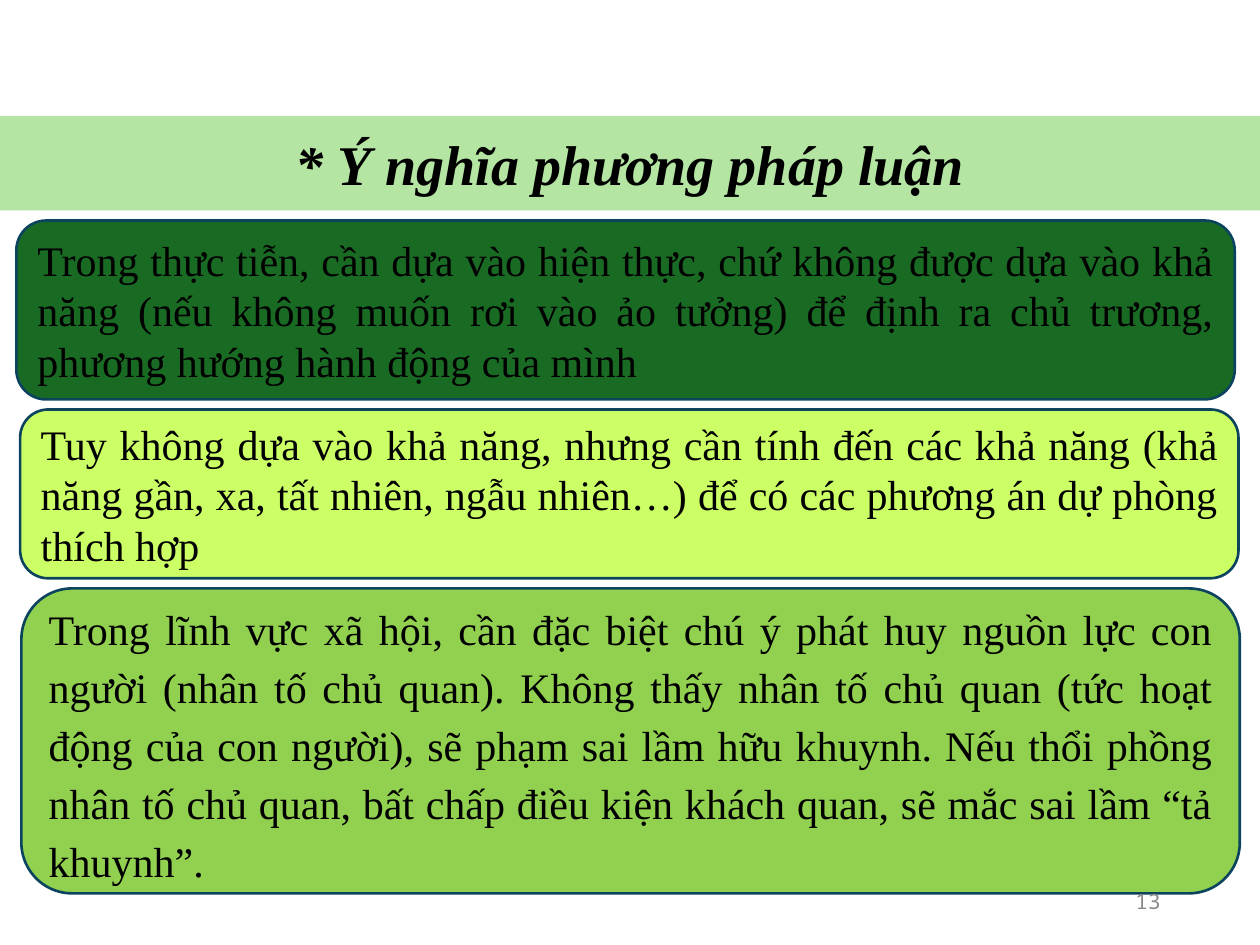
from dataclasses import dataclass
from pptx import Presentation
from pptx.dml.color import RGBColor
from pptx.enum.shapes import MSO_SHAPE
from pptx.enum.text import MSO_ANCHOR, PP_ALIGN
from pptx.util import Inches, Pt


@dataclass
class Theme:
    band: str = "B4E5A2"
    dark: str = "196B24"
    lime: str = "CCFF66"
    leaf: str = "92D050"
    edge: str = "0C445E"
    ink: str = "000000"
    gray: str = "898989"
    serif: str = "Times New Roman"
    mono: str = "Noto Sans Mono"
    title: int = 32
    body: int = 24
    small: int = 12


theme = Theme()
deck = Presentation()
deck.slide_width, deck.slide_height = Inches(10), Inches(7.5)
slide = deck.slides.add_slide(deck.slide_layouts[6])


def write(shape, text, size, align, color=theme.ink, font=theme.serif):
    frame = shape.text_frame
    frame.text = text
    frame.word_wrap = True
    frame.vertical_anchor = MSO_ANCHOR.MIDDLE
    para = frame.paragraphs[0]
    para.alignment = align
    face = para.runs[0].font
    face.name, face.size = font, Pt(size)
    face.color.rgb = RGBColor.from_string(color)
    return para


def panel(kind, box, fill):
    shape = slide.shapes.add_shape(kind, *map(Inches, box))
    shape.shadow.inherit = False
    shape.fill.solid()
    shape.fill.fore_color.rgb = RGBColor.from_string(fill)
    shape.line.fill.background()
    return shape


band = panel(MSO_SHAPE.RECTANGLE, (0, 0.92, 10, 0.75), theme.band)
head = write(band, "* Ý nghĩa phương pháp luận", theme.title, PP_ALIGN.CENTER)
head.runs[0].font.bold = head.runs[0].font.italic = True

gap, wide, top = 0.08, 9.67, 1.75
cards = [
    (0.13, 1.42, theme.dark, 7.5, 1,
     "Trong thực tiễn, cần dựa vào hiện thực, chứ không được dựa vào khả năng "
     "(nếu không muốn rơi vào ảo tưởng) để định ra chủ trương, phương hướng "
     "hành động của mình"),
    (0.16, 1.34, theme.lime, 7.5, 1,
     "Tuy không dựa vào khả năng, nhưng cần tính đến các khả năng (khả năng gần, "
     "xa, tất nhiên, ngẫu nhiên…) để có các phương án dự phòng thích hợp"),
    (0.17, 2.42, theme.leaf, 0, 1.15,
     "Trong lĩnh vực xã hội, cần đặc biệt chú ý phát huy nguồn lực con người "
     "(nhân tố chủ quan). Không thấy nhân tố chủ quan (tức hoạt động của con "
     "người), sẽ phạm sai lầm hữu khuynh. Nếu thổi phồng nhân tố chủ quan, bất "
     "chấp điều kiện khách quan, sẽ mắc sai lầm “tả khuynh”."),
]
for left, high, fill, space, lead, text in cards:
    card = panel(MSO_SHAPE.ROUNDED_RECTANGLE, (left, top, wide, high), fill)
    card.line.color.rgb = RGBColor.from_string(theme.edge)
    card.line.width = Pt(1.5)
    para = write(card, text, theme.body, PP_ALIGN.JUSTIFY)
    para.space_before = para.space_after = Pt(space)
    para.line_spacing = lead
    top += high + gap

page = slide.shapes.add_textbox(*map(Inches, (7.06, 6.95, 2.25, 0.4)))
write(page, "13", theme.small, PP_ALIGN.RIGHT, theme.gray, theme.mono)

deck.save("out.pptx")
